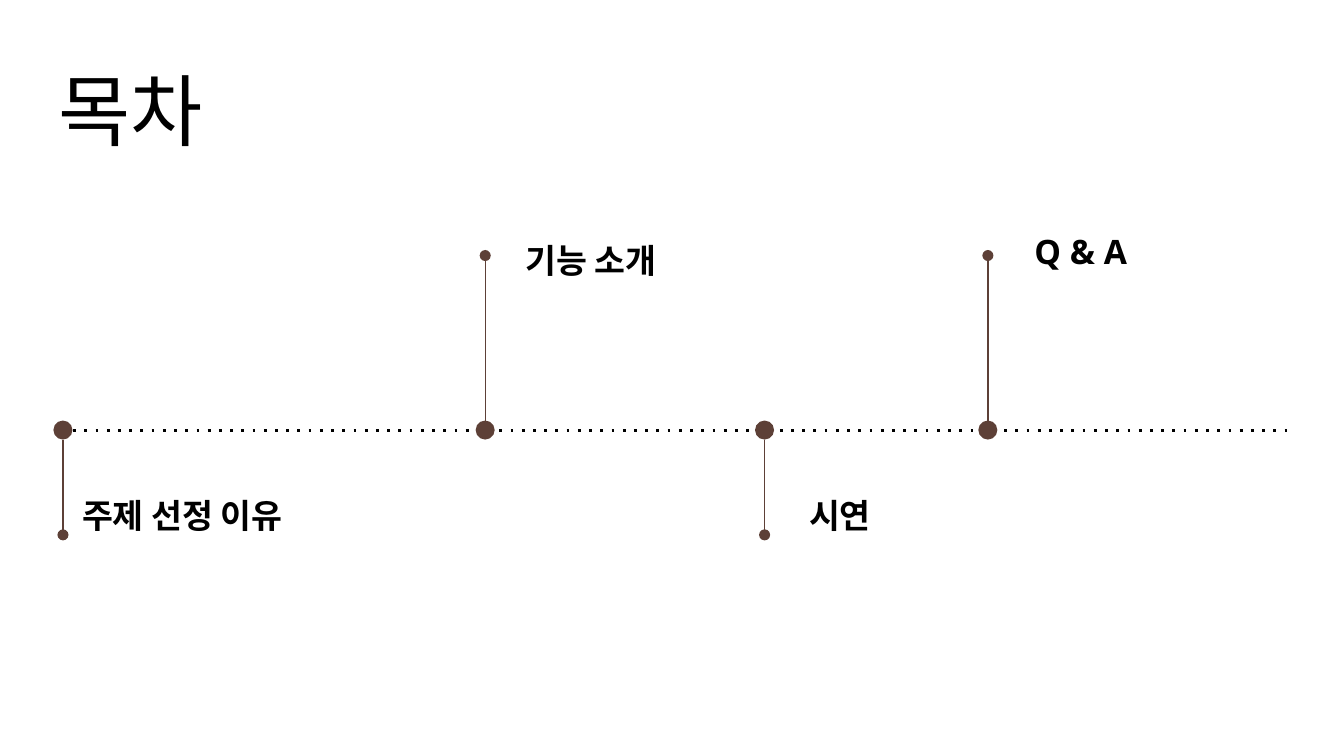
from lxml import etree
from pptx import Presentation
from pptx.dml.color import RGBColor
from pptx.enum.shapes import MSO_CONNECTOR, MSO_SHAPE
from pptx.enum.text import MSO_ANCHOR, MSO_AUTO_SIZE, PP_ALIGN
from pptx.oxml.ns import qn
from pptx.util import Cm, Pt

BROWN = RGBColor(0x5D, 0x40, 0x37)
BLACK = RGBColor(0, 0, 0)
OVAL = MSO_SHAPE.OVAL
STRAIGHT = MSO_CONNECTOR.STRAIGHT
LEFT = PP_ALIGN.LEFT
TOP, BOTTOM = MSO_ANCHOR.TOP, MSO_ANCHOR.BOTTOM
FIXED = MSO_AUTO_SIZE.NONE

DOT = 0.36
# text, stem x, whether the stem rises, label offset from the stem's end (cm)
STOPS = [
    ("주제 선정 이유", 0.02, False, 0.11, -1.12),
    ("기능 소개", 8, True, 0.51, -0.66),
    ("시연", 13.28, False, 0.59, -1.12),
    ("Q & A", 17.5, True, 0.63, -0.82),
]


def set_text(holder, text, box, anchor, font, size, bold):
    """Place a placeholder in box and format its one line of text."""
    holder.left, holder.top, holder.width, holder.height = map(Cm, box)
    frame = holder.text_frame
    frame.text = text
    frame.word_wrap = True
    frame.auto_size = FIXED
    frame.vertical_anchor = anchor
    frame.margin_left = frame.margin_right = Cm(0.25)
    frame.margin_top = frame.margin_bottom = Cm(0.25)
    para = frame.paragraphs[0]
    para.alignment = LEFT
    para.space_before = Pt(0)
    run = para.runs[0].font
    run.name, run.size, run.bold = font, Pt(size), bold
    run.color.rgb = BLACK
    return para


def add_line(shapes, start, end, color, width):
    line = shapes.add_connector(STRAIGHT, *map(Cm, start + end))
    line.line.color.rgb = color
    line.line.width = Pt(width)
    etree.SubElement(line._element.spPr, qn("a:effectLst"))
    return line


def add_axis(shapes, left, y, width):
    axis = add_line(shapes, (left, y), (left + width, y), BLACK, 1.5)
    dash = etree.SubElement(axis.line._get_or_add_ln(), qn("a:prstDash"))
    dash.set("val", "dot")


def add_mark(shapes, x, y, end):
    """Draw a dot on the axis and a stem with a round tip."""
    group = shapes.add_group_shape().shapes
    half = DOT / 2
    dot = group.add_shape(OVAL, Cm(x - half), Cm(y - half), Cm(DOT), Cm(DOT))
    dot.shadow.inherit = False
    dot.fill.solid()
    dot.fill.fore_color.rgb = BROWN
    dot.line.fill.background()
    start = y - half if end < y else y + half
    stem = add_line(group, (x, start), (x, end), BROWN, 0.75)
    tip = etree.SubElement(stem.line._get_or_add_ln(), qn("a:tailEnd"))
    tip.set("type", "oval")


def add_label(holder, text, box):
    para = set_text(holder, text, box, TOP, "Open Sans", 18, True)
    para.line_spacing = 1.15
    props = para._p.get_or_add_pPr()
    props.set("marL", "0")
    props.set("indent", "0")
    etree.SubElement(props, qn("a:buNone"))


def add_time(slide, left, top, width, height):
    """Fill the box with the axis, its marks and their labels."""
    y = top + height * 0.625
    add_axis(slide.shapes, left, y, width)
    holders = list(slide.placeholders)[1:]
    for holder, (text, step, rises, dx, dy) in zip(holders, STOPS):
        x = left + step
        end = top if rises else top + height
        add_mark(slide.shapes, x, y, end)
        tall = 3.05 if rises else 3.35
        add_label(holder, text, (x + dx, end + dy, 6.05, tall))


def main():
    deck = Presentation()
    deck.slide_width, deck.slide_height = Cm(25.4), Cm(14.29)
    slide = deck.slides.add_slide(deck.slide_layouts.get_by_name("Comparison"))
    set_text(slide.shapes.title, "목차", (0.86, 0.89, 23.67, 2.31),
             BOTTOM, "Lato", 42, False)
    add_time(slide, 1.17, 4.83, 23.16, 5.28)
    deck.save("out.pptx")


if __name__ == "__main__":
    main()
